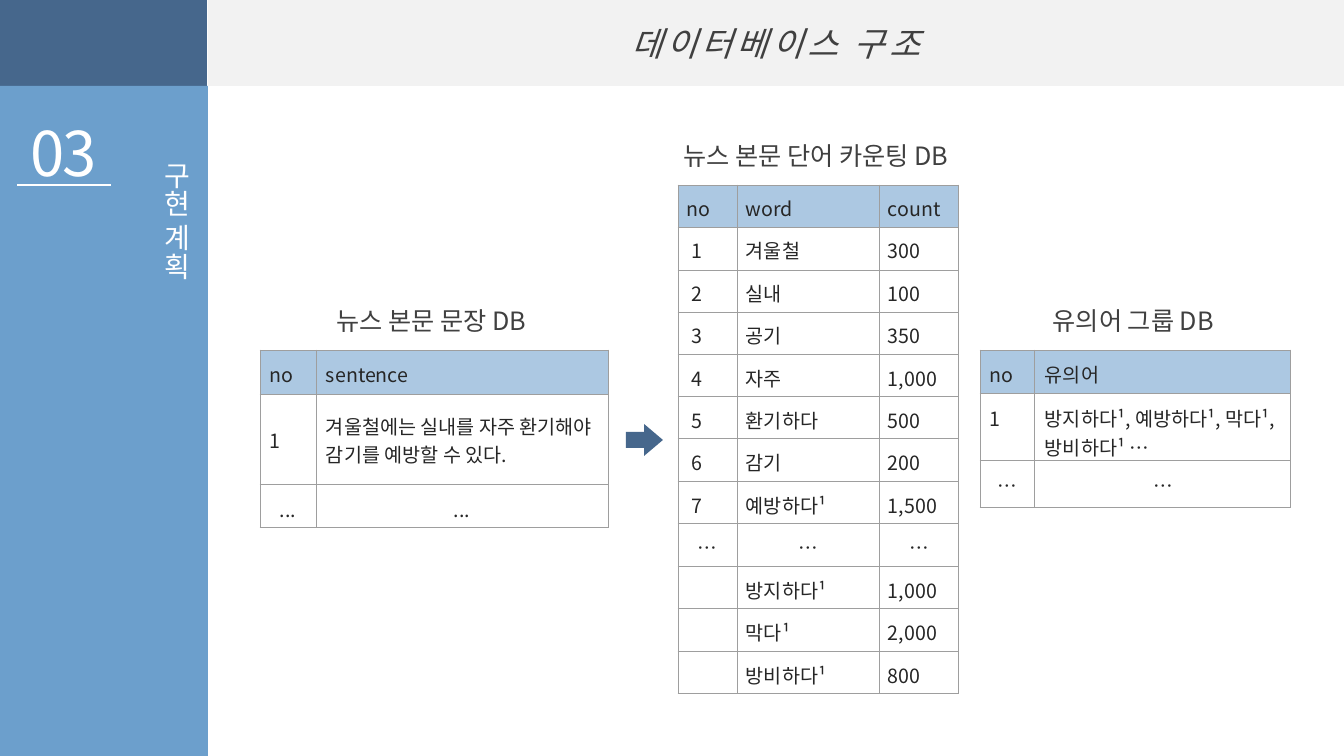
from dataclasses import dataclass

from lxml.etree import SubElement
from pptx import Presentation
from pptx.dml.color import RGBColor
from pptx.enum.shapes import MSO_CONNECTOR, MSO_SHAPE
from pptx.enum.text import MSO_ANCHOR, MSO_AUTO_SIZE, PP_ALIGN
from pptx.oxml.ns import qn
from pptx.util import Emu, Pt

FONT = "Noto Sans CJK KR"
NAVY = RGBColor(0x46, 0x67, 0x8C)
BLUE = RGBColor(0x6C, 0x9F, 0xCC)
PALE_BLUE = RGBColor(0xAC, 0xC8, 0xE2)
LIGHT_GRAY = RGBColor(0xF2, 0xF2, 0xF2)
WHITE = RGBColor(0xFF, 0xFF, 0xFF)
HEADING = RGBColor(0x40, 0x40, 0x40)
BODY = RGBColor(0x26, 0x26, 0x26)
BORDER = "9E9E9E"
ELLIPSES = ("…", "...")


def px(n: int) -> Emu:
    return Emu(round(n * 914400 / 100.8))


@dataclass
class Block:
    x: int
    y: int
    w: int
    h: int
    color: RGBColor
    kind: MSO_SHAPE = MSO_SHAPE.RECTANGLE


@dataclass
class Label:
    text: str
    x: int
    y: int
    w: int
    h: int
    size: int = 18
    color: RGBColor = HEADING
    align: PP_ALIGN = PP_ALIGN.CENTER
    wrap: bool = True
    spacing: int = 0
    italic: bool = False
    vertical: bool = False


@dataclass
class DbTable:
    x: int
    y: int
    cols: list[int]
    heights: list[int]
    rows: list[list[str]]
    inset: int = 10
    middle_row: int | None = None


def even_heights(total: int, count: int) -> list[int]:
    """Split a height into whole rows that add up to it."""
    edges = [round(total * i / count) for i in range(count + 1)]
    return [b - a for a, b in zip(edges, edges[1:])]


BLOCKS = [
    Block(0, 0, 207, 86, NAVY),
    Block(0, 86, 208, 670, BLUE),
    Block(208, 0, 1136, 86, LIGHT_GRAY),
    Block(626, 424, 37, 32, NAVY, MSO_SHAPE.RIGHT_ARROW),
]
TITLE = Label("데이터베이스 구조", 619, 18, 314, 50, 24, wrap=False, spacing=300, italic=True)
LABELS = [
    Label("03", 17, 110, 93, 85, 44, WHITE, wrap=False, spacing=-150),
    Label("구현 계획", 144, 152, 54, 142, 20, WHITE, PP_ALIGN.LEFT, wrap=False, vertical=True),
    Label("유의어 그룹 DB ", 1022, 300, 228, 40),
    Label("뉴스 본문 단어 카운팅 DB ", 646, 135, 345, 40),
    Label("뉴스 본문 문장 DB ", 320, 300, 228, 40),
]
TABLES = [
    DbTable(678, 185, [59, 142, 80], even_heights(509, 12), [
        ["no", "word", "count"],
        [" 1", "겨울철", "300"],
        [" 2", "실내", "100"],
        [" 3", "공기", "350"],
        [" 4", "자주", "1,000"],
        [" 5", "환기하다", "500"],
        [" 6", "감기", "200"],
        [" 7", "예방하다¹", "1,500"],
        ["…", "…", "…"],
        ["", "방지하다¹", "1,000"],
        ["", "막다¹", "2,000"],
        ["", "방비하다¹", "800"],
    ], inset=9),
    DbTable(260, 350, [56, 292], [45, 90, 43], [
        ["no", "sentence"],
        ["1", "겨울철에는 실내를 자주 환기해야 감기를 예방할 수 있다."],
        ["...", "..."],
    ], middle_row=1),
    DbTable(980, 350, [55, 256], [44, 67, 47], [
        ["no", "유의어"],
        ["1", "방지하다¹, 예방하다¹, 막다¹, 방비하다¹ …"],
        ["…", "…"],
    ]),
]


def add_run(p, text: str, size: int, color: RGBColor):
    r = p.add_run()
    r.text = text
    r.font.size = Pt(size)
    r.font.color.rgb = color
    r.font.name = FONT
    SubElement(r.font._element, qn("a:ea")).set("typeface", FONT)
    return r


def add_block(s, block: Block) -> None:
    sp = s.shapes.add_shape(block.kind, px(block.x), px(block.y), px(block.w), px(block.h))
    sp.shadow.inherit = False
    sp.fill.solid()
    sp.fill.fore_color.rgb = block.color
    sp.line.fill.background()
    if block.kind == MSO_SHAPE.RIGHT_ARROW:
        sp.adjustments[1] = 0.59


def format_label(sp, label: Label) -> None:
    sp.left, sp.top, sp.width, sp.height = map(px, (label.x, label.y, label.w, label.h))
    tf = sp.text_frame
    tf.word_wrap = label.wrap
    tf.auto_size = MSO_AUTO_SIZE.SHAPE_TO_FIT_TEXT
    if label.vertical:
        tf._txBody.bodyPr.set("vert", "eaVert")
    p = tf.paragraphs[0]
    p.alignment = label.align
    r = add_run(p, label.text, label.size, label.color)
    if label.italic:
        r.font.italic = True
    if label.spacing:
        r.font._element.set("spc", str(label.spacing))


def add_borders(cell) -> None:
    tc_pr = cell._tc.get_or_add_tcPr()
    for i, side in enumerate(("a:lnL", "a:lnR", "a:lnT", "a:lnB")):
        ln = tc_pr.makeelement(qn(side), {"w": str(Pt(0.75))})
        fill = SubElement(ln, qn("a:solidFill"))
        SubElement(fill, qn("a:srgbClr")).set("val", BORDER)
        tc_pr.insert(i, ln)


def add_db_table(s, db: DbTable) -> None:
    frame = s.shapes.add_table(len(db.rows), len(db.cols), px(db.x), px(db.y),
                               px(sum(db.cols)), px(sum(db.heights)))
    table = frame.table
    table.first_row = table.horz_banding = False
    for column, width in zip(table.columns, db.cols):
        column.width = px(width)
    for i, (row, height, texts) in enumerate(zip(table.rows, db.heights, db.rows)):
        row.height = px(height)
        for cell, text in zip(row.cells, texts):
            middle = i == db.middle_row
            cell.margin_left = cell.margin_right = cell.margin_top = px(db.inset)
            cell.margin_bottom = px(db.inset if middle else 0)
            cell.vertical_anchor = MSO_ANCHOR.MIDDLE if middle else MSO_ANCHOR.TOP
            if i == 0:
                cell.fill.solid()
                cell.fill.fore_color.rgb = PALE_BLUE
            else:
                cell.fill.background()
            add_borders(cell)
            p = cell.text_frame.paragraphs[0]
            p.alignment = PP_ALIGN.CENTER if text in ELLIPSES else PP_ALIGN.LEFT
            add_run(p, text, 14, BODY)


def add_underline(s) -> None:
    line = s.shapes.add_connector(MSO_CONNECTOR.STRAIGHT, px(17), px(185), px(111), px(185))
    line.line.color.rgb = WHITE
    line.line.width = Pt(1.5)
    SubElement(line._element.spPr, qn("a:effectLst"))


def main() -> None:
    prs = Presentation()
    prs.slide_width, prs.slide_height = px(1344), px(756)
    s = prs.slides.add_slide(prs.slide_layouts[5])
    for block in BLOCKS:
        add_block(s, block)
    title = s.shapes.title
    format_label(title, TITLE)
    title.element.getparent().append(title.element)  # bring in front of the header band
    for label in LABELS:
        format_label(s.shapes.add_textbox(0, 0, 0, 0), label)
    add_underline(s)
    for db in TABLES:
        add_db_table(s, db)
    prs.save("out.pptx")


if __name__ == "__main__":
    main()
